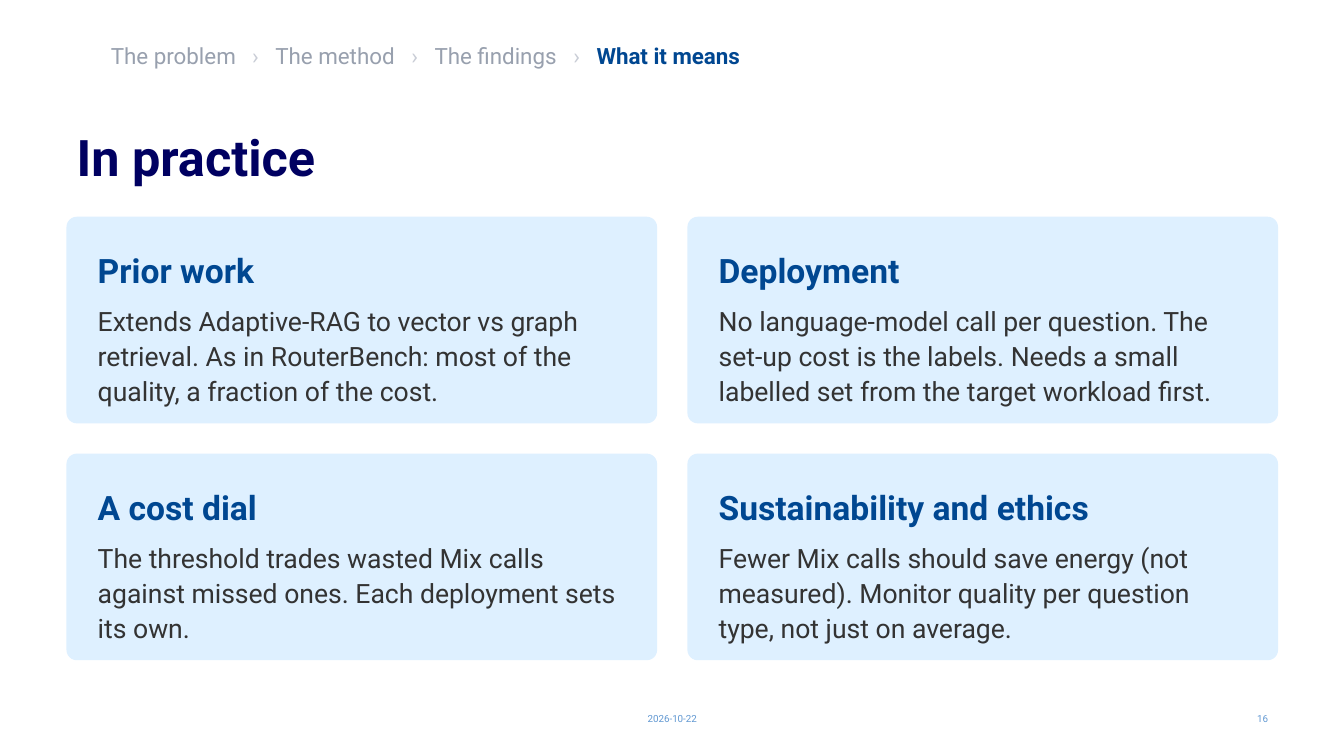
"""Build the "In practice" slide: breadcrumb, title, four cards and a footer."""
from lxml.etree import SubElement
from pptx import Presentation
from pptx.dml.color import RGBColor
from pptx.enum.shapes import MSO_SHAPE as Shape
from pptx.enum.text import MSO_ANCHOR as Anchor, MSO_AUTO_SIZE as AutoSize, PP_ALIGN as Align
from pptx.oxml.ns import qn
from pptx.util import Pt

TITLE = "In practice"
STEPS = ["The problem", "The method", "The findings", "What it means"]
CARDS = [
    ("Prior work",
     "Extends Adaptive-RAG to vector vs graph retrieval. As in RouterBench: "
     "most of the quality, a fraction of the cost."),
    ("Deployment",
     "No language-model call per question. The set-up cost is the labels. "
     "Needs a small labelled set from the target workload first."),
    ("A cost dial",
     "The threshold trades wasted Mix calls against missed ones. "
     "Each deployment sets its own."),
    ("Sustainability and ethics",
     "Fewer Mix calls should save energy (not measured). "
     "Monitor quality per question type, not just on average."),
]
FOOTERS = [
    ("2026-10-22", 318.24, 324, Align.CENTER),
    ("16", 696.96, 216, Align.RIGHT),
]

FONT = "Roboto"
NAVY, BLUE, PALE_BLUE, FOOTER_BLUE = "000061", "004791", "DEF0FF", "6198D2"
BODY_GREY, STEP_GREY, ARROW_GREY = "333333", "98A0AE", "C9CDD6"
MARGIN, CONTENT_WIDTH = 47.52, 865.44
CARD_TOP, CARD_WIDTH, CARD_HEIGHT, CARD_GAP = 154.8, 421.92, 147.6, 21.6
ARROW_STOPS, ARROW_ADVANCE = (101, 214.7, 330.4), 16.5


def color(value):
    return RGBColor.from_string(value)


def format_run(run, size, value, bold=False):
    run.font.name = FONT
    run.font.size = Pt(size)
    run.font.bold = bold
    run.font.color.rgb = color(value)


def space(paragraph, line, after=0):
    paragraph.line_spacing = line
    paragraph.space_before = Pt(0)
    paragraph.space_after = Pt(after)


def set_frame(frame, left, top, right, bottom, anchor=Anchor.TOP):
    frame.margin_left, frame.margin_top = Pt(left), Pt(top)
    frame.margin_right, frame.margin_bottom = Pt(right), Pt(bottom)
    frame.word_wrap = True
    frame.auto_size = AutoSize.NONE
    frame.vertical_anchor = anchor


def add_title(slide):
    title = slide.shapes.title
    title.left, title.top = Pt(MARGIN), Pt(86.4)
    title.width, title.height = Pt(CONTENT_WIDTH), Pt(44.64)
    title.text_frame.text = TITLE
    set_frame(title.text_frame, 7.2, 8.64, 7.2, 3.6)
    paragraph = title.text_frame.paragraphs[0]
    paragraph.alignment = Align.LEFT
    space(paragraph, 0.9)
    format_run(paragraph.runs[0], 36, NAVY, True)


def add_breadcrumb(slide):
    box = slide.shapes.add_textbox(Pt(79.2), Pt(28.8), Pt(792), Pt(27.36))
    set_frame(box.text_frame, 0, 0, 0, 0)
    paragraph = box.text_frame.paragraphs[0]
    space(paragraph, 1.05, 6)
    tab_list = SubElement(paragraph._p.get_or_add_pPr(), qn("a:tabLst"))
    for stop in ARROW_STOPS:
        for position in (stop, stop + ARROW_ADVANCE):
            SubElement(tab_list, qn("a:tab"), pos=str(Pt(position)), algn="l")
    for index, step in enumerate(STEPS):
        if index:
            arrow = paragraph.add_run()
            arrow.text = "\t›\t"
            format_run(arrow, 16, ARROW_GREY)
        current = step == STEPS[-1]
        run = paragraph.add_run()
        run.text = step
        format_run(run, 16, BLUE if current else STEP_GREY, current)


def add_card(slide, index, heading, body):
    row, column = divmod(index, 2)
    left = MARGIN + column * (CARD_WIDTH + CARD_GAP)
    top = CARD_TOP + row * (CARD_HEIGHT + CARD_GAP + 0.0)
    card = slide.shapes.add_shape(
        Shape.ROUNDED_RECTANGLE, Pt(left), Pt(top), Pt(CARD_WIDTH), Pt(CARD_HEIGHT))
    card.adjustments[0] = 0.05
    card.shadow.inherit = False
    card.fill.solid()
    card.fill.fore_color.rgb = color(PALE_BLUE)
    card.line.fill.background()
    frame = card.text_frame
    set_frame(frame, 20.16, 20.16, 20.16, 20.16)
    frame.text = f"{heading}\n{body}"
    styles = [(1.05, 8, 24, BLUE, True), (1.1, 6, 19, BODY_GREY, False)]
    for paragraph, (line, after, size, value, bold) in zip(frame.paragraphs, styles):
        paragraph.alignment = Align.LEFT
        space(paragraph, line, after)
        format_run(paragraph.runs[0], size, value, bold)


def add_footer(slide, text, left, width, alignment):
    box = slide.shapes.add_textbox(Pt(left), Pt(509.76), Pt(width), Pt(7.5))
    set_frame(box.text_frame, 7.2, 3.6, 7.2, 3.6, Anchor.MIDDLE)
    box.text_frame.text = text
    paragraph = box.text_frame.paragraphs[0]
    paragraph.alignment = alignment
    format_run(paragraph.runs[0], 7, FOOTER_BLUE)


def main():
    presentation = Presentation()
    presentation.slide_width, presentation.slide_height = Pt(960), Pt(540)
    slide = presentation.slides.add_slide(presentation.slide_layouts[5])
    add_title(slide)
    add_breadcrumb(slide)
    for footer in FOOTERS:
        add_footer(slide, *footer)
    for index, (heading, body) in enumerate(CARDS):
        add_card(slide, index, heading, body)
    presentation.save("out.pptx")


if __name__ == "__main__":
    main()
